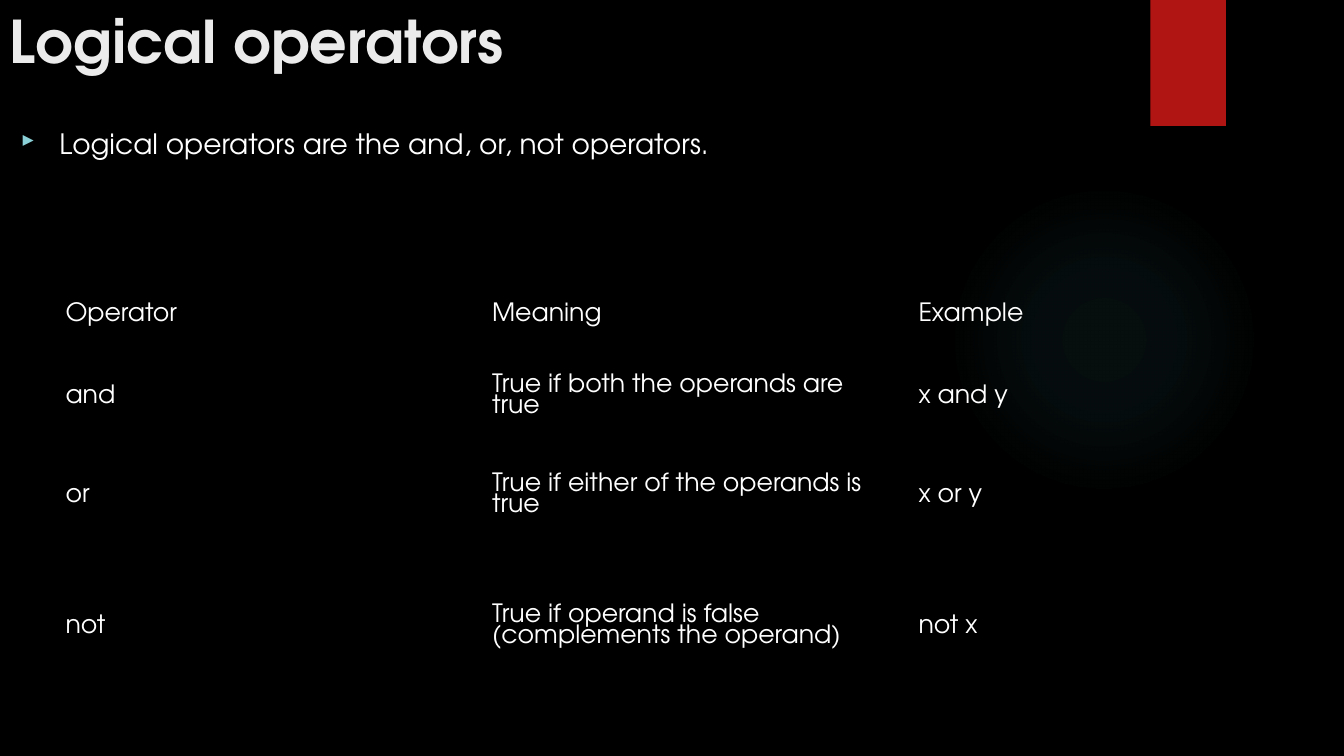
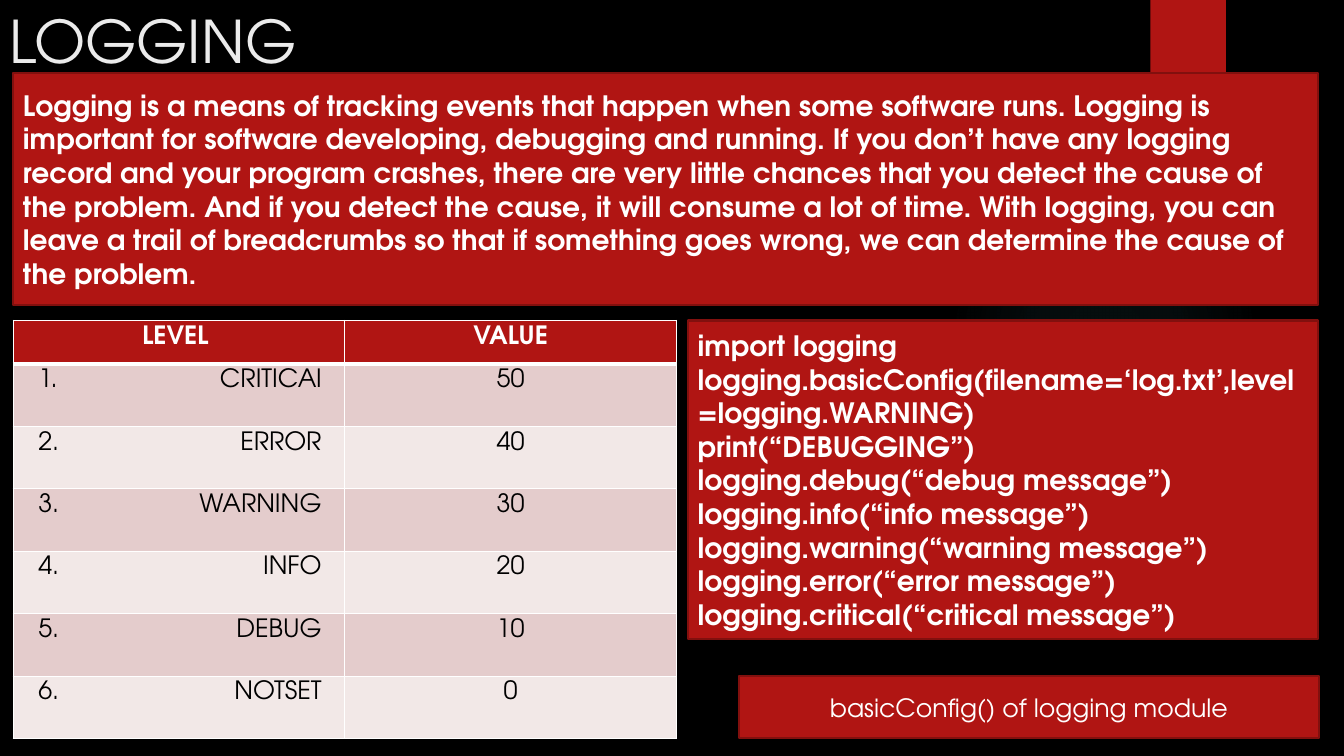
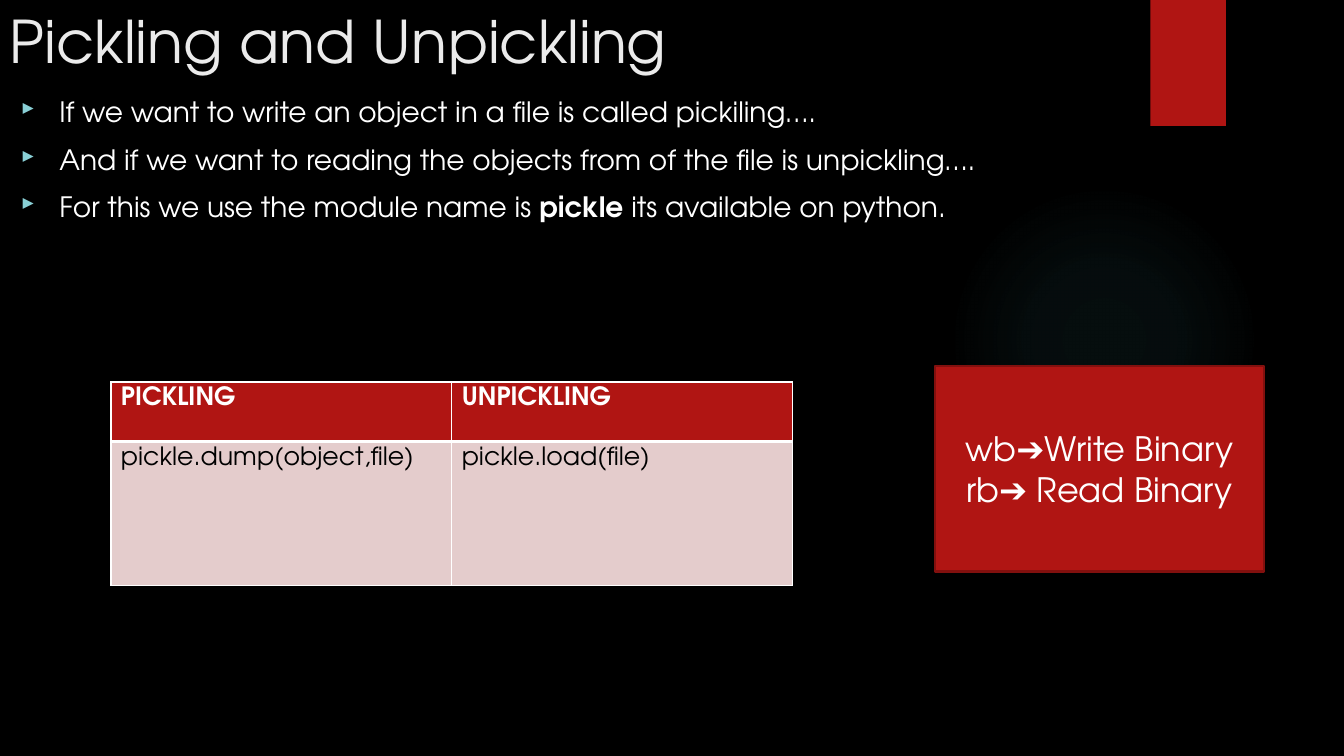
from dataclasses import dataclass

from lxml import etree
from pptx import Presentation
from pptx.dml.color import RGBColor
from pptx.enum.shapes import MSO_SHAPE
from pptx.enum.text import MSO_ANCHOR, PP_ALIGN
from pptx.oxml.ns import qn
from pptx.util import Inches, Pt

RECT, OVAL = MSO_SHAPE.RECTANGLE, MSO_SHAPE.OVAL
LEFT, CENTER = PP_ALIGN.LEFT, PP_ALIGN.CENTER
TOP, MIDDLE = MSO_ANCHOR.TOP, MSO_ANCHOR.MIDDLE
PLAIN_TABLE = "{2D5ABB26-0587-4C30-8999-92F81FD0307C}"


@dataclass(frozen=True)
class Theme:
    """Colours, fonts and type sizes of the deck."""
    font: str = "TeX Gyre Adventor"
    bullet_font: str = "Wingdings 3"
    black: str = "000000"
    white: str = "FFFFFF"
    title: str = "EBEBEB"
    red: str = "B01513"
    red_line: str = "82100E"
    bullet: str = "8AD0D6"
    glow: str = "50B9C1"
    bands: tuple = ("E4CCCC", "F2E8E7")
    title_size: int = 42
    callout_size: int = 24
    body_size: int = 20
    table_size: int = 18


T = Theme()


def rgb(value):
    """Turn a hex string into a colour."""
    return RGBColor.from_string(value)


def child(parent, tag, **attrs):
    """Append a DrawingML element and return it."""
    return etree.SubElement(parent, qn(f"a:{tag}"), attrs)


def write(tf, paras, size, color=T.white, bold=False, align=LEFT):
    """Fill a text frame; a paragraph is a string or a list of (text, bold) runs."""
    tf.word_wrap = True
    for i, runs in enumerate(paras):
        p = tf.paragraphs[0] if i == 0 else tf.add_paragraph()
        p.alignment = align
        for text, strong in [(runs, bold)] if isinstance(runs, str) else runs:
            r = p.add_run()
            r.text = text
            r.font.name, r.font.size, r.font.bold = T.font, Pt(size), strong
            r.font.color.rgb = rgb(color)


def text_box(s, box, paras, size, **style):
    """Add a top-anchored text box and return its frame."""
    tf = s.shapes.add_textbox(*map(Inches, box)).text_frame
    tf.vertical_anchor = TOP
    write(tf, paras, size, **style)
    return tf


def shape(s, kind, box, fill):
    """Add a flat shape without outline."""
    sp = s.shapes.add_shape(kind, *map(Inches, box))
    sp.shadow.inherit = False
    sp.fill.solid()
    sp.fill.fore_color.rgb = rgb(fill)
    sp.line.fill.background()
    return sp


def glow(s, box):
    """Add a soft radial glow."""
    sp = shape(s, OVAL, box, T.glow)
    solid = sp._element.spPr.find(qn("a:solidFill"))
    grad = etree.Element(qn("a:gradFill"), rotWithShape="1")
    stops = child(grad, "gsLst")
    for pos, alpha in ((0, 7), (36, 6), (69, 0)):
        stop = child(stops, "gs", pos=str(pos * 1000))
        color = child(stop, "srgbClr", val=T.glow)
        child(color, "alpha", val=str(alpha * 1000))
    circle = child(grad, "path", path="circle")
    child(circle, "fillToRect", l="50000", t="50000", r="50000", b="50000")
    solid.getparent().replace(solid, grad)


def new_slide(prs, title, bold=False):
    """Add a slide with the shared backdrop, red tab and title."""
    s = prs.slides.add_slide(prs.slide_layouts[6])
    s.background.fill.solid()
    s.background.fill.fore_color.rgb = rgb(T.black)
    glow(s, (9.41, 1.83, 3.08, 3.08))
    shape(s, RECT, (11.41, 0, 0.75, 1.25), T.red)
    text_box(s, (0, 0, 10.29, 0.88), [title], T.title_size, color=T.title, bold=bold)
    return s


def bullet_list(s, box, items):
    """Add a list with triangle bullets."""
    tf = text_box(s, box, items, T.body_size)
    for i, p in enumerate(tf.paragraphs):
        pPr = p._p.get_or_add_pPr()
        pPr.set("marL", str(Inches(0.38)))
        pPr.set("indent", str(-Inches(0.38)))
        child(child(pPr, "buClr"), "srgbClr", val=T.bullet)
        child(pPr, "buSzPct", val="80000")
        child(pPr, "buFont", typeface=T.bullet_font, charset="2")
        child(pPr, "buChar", char="}")
        if i:
            p.space_before = Pt(10)


def panel(s, box, paras, size, **style):
    """Add a red outlined panel with text centred vertically."""
    sp = shape(s, RECT, box, T.red)
    sp.line.color.rgb = rgb(T.red_line)
    sp.line.width = Pt(1.5)
    sp.text_frame.vertical_anchor = MIDDLE
    write(sp.text_frame, paras, size, **style)


def table(s, box, heights, rows):
    """Add an unstyled table with equal columns."""
    left, top, width = box
    frame = s.shapes.add_table(len(rows), len(rows[0]), Inches(left), Inches(top),
                               Inches(width), Inches(sum(heights)))
    tbl = frame.table
    tbl.horz_banding = False
    tbl._tbl.tblPr.find(qn("a:tableStyleId")).text = PLAIN_TABLE
    for row, height in zip(tbl.rows, heights):
        row.height = Inches(height)
    return tbl


def plain_table(s, box, heights, rows):
    """Add a borderless table of white text."""
    tbl = table(s, box, heights, rows)
    tbl.first_row = False
    for i, row in enumerate(rows):
        for j, text in enumerate(row):
            cell = tbl.cell(i, j)
            cell.fill.background()
            cell.vertical_anchor = MIDDLE
            cell.margin_left = cell.margin_right = Inches(0.25)
            cell.margin_top = cell.margin_bottom = Inches(0.12)
            write(cell.text_frame, [text], T.table_size)
            cell.text_frame.paragraphs[0].line_spacing = 0.88


def borders(cell, bottom, top):
    """Draw white lines around a cell."""
    tcPr = cell._tc.get_or_add_tcPr()
    for side, width in (("L", 1), ("R", 1), ("T", top), ("B", bottom)):
        ln = child(tcPr, f"ln{side}", w=str(Pt(width)))
        child(child(ln, "solidFill"), "srgbClr", val=T.white)


def banded_table(s, box, heights, rows, align=LEFT):
    """Add a table with a red header and banded rows."""
    tbl = table(s, box, heights, rows)
    for i, row in enumerate(rows):
        header = i == 0
        for j, text in enumerate(row):
            cell = tbl.cell(i, j)
            borders(cell, bottom=3 if header else 1, top=3 if i == 1 else 1)
            cell.fill.solid()
            cell.fill.fore_color.rgb = rgb(T.red if header else T.bands[(i - 1) % 2])
            write(cell.text_frame, [text], T.table_size, bold=header, align=align,
                  color=T.white if header else T.black)
    return tbl


def number_column(tbl, tab):
    """Set numbers at the left and names against a right tab in the first column."""
    for i in range(1, len(tbl.rows)):
        cell = tbl.cell(i, 0)
        cell.margin_left = Inches(0.25)
        p = cell.text_frame.paragraphs[0]
        p.alignment = LEFT
        stops = child(p._p.get_or_add_pPr(), "tabLst")
        child(stops, "tab", pos=str(Inches(tab)), algn="r")


def operators_slide(prs):
    """Build the slide on logical operators."""
    s = new_slide(prs, "Logical operators", bold=True)
    bullet_list(s, (0.11, 1.21, 9.78, 1),
                ["Logical operators are the and, or, not operators."])
    plain_table(s, (0.4, 2.81, 12.69), (0.64, 0.98, 0.98, 1.62), [
        ("Operator", "Meaning", "Example"),
        ("and", "True if both the operands are true", "x and y"),
        ("or", "True if either of the operands is true", "x or y"),
        ("not", "True if operand is false (complements the operand)", "not x"),
    ])


def logging_slide(prs):
    """Build the slide on logging levels."""
    s = new_slide(prs, "LOGGING")
    levels = ("CRITICAl", "ERROR", "WARNING", "INFO", "DEBUG", "NOTSET")
    rows = [("LEVEL ", "VALUE")]
    rows += [(f"{i}.\t{level}", str(60 - 10 * i)) for i, level in enumerate(levels, 1)]
    tbl = banded_table(s, (0.13, 3.18, 6.58), [0.43] + [0.62] * len(levels), rows, CENTER)
    number_column(tbl, 2.81)
    panel(s, (7.33, 6.71, 5.75, 0.61), ["basicConfig() of logging module"],
          T.table_size, align=CENTER)
    panel(s, (6.82, 3.18, 6.25, 3.16), [
        "import logging",
        "logging.basicConfig(filename=‘log.txt’,level=logging.WARNING)",
        "print(“DEBUGGING”)",
        "logging.debug(“debug message”)",
        "logging.info(“info message”)",
        "logging.warning(“warning message”)",
        "logging.error(“error message”)",
        "logging.critical(“critical message”)",
    ], T.body_size, bold=True)
    panel(s, (0.13, 0.72, 12.94, 2.31), [
        "Logging is a means of tracking events that happen when some software runs. "
        "Logging is important for software developing, debugging and running. "
        "If you don’t have any logging record and your program crashes, there are very "
        "little chances that you detect the cause of the problem. And if you detect the "
        "cause, it will consume a lot of time. With logging, you can leave a trail of "
        "breadcrumbs so that if something goes wrong, we can determine the cause of "
        "the problem.",
    ], T.body_size, bold=True)


def pickling_slide(prs):
    """Build the slide on pickling."""
    s = new_slide(prs, "Pickling and Unpickling")
    bullet_list(s, (0.11, 0.89, 13.08, 1.6), [
        "If we want to write an object in a file is called pickiling….",
        "And if we want to reading the objects from of the file is unpickling….",
        [("For this we use the module name is ", False), ("pickle", True),
         (" its available on python.", False)],
    ])
    banded_table(s, (1.1, 3.79, 6.76), (0.59, 1.43), [
        ("PICKLING", "UNPICKLING"),
        ("pickle.dump(object,file)", "pickle.load(file)"),
    ])
    panel(s, (9.27, 3.63, 3.27, 2.04), ["wb➔Write Binary", "rb➔ Read Binary"],
          T.callout_size, align=CENTER)


def main():
    """Build and save the deck."""
    prs = Presentation()
    prs.slide_width, prs.slide_height = Inches(13.33), Inches(7.5)
    operators_slide(prs)
    logging_slide(prs)
    pickling_slide(prs)
    prs.save("out.pptx")


if __name__ == "__main__":
    main()
